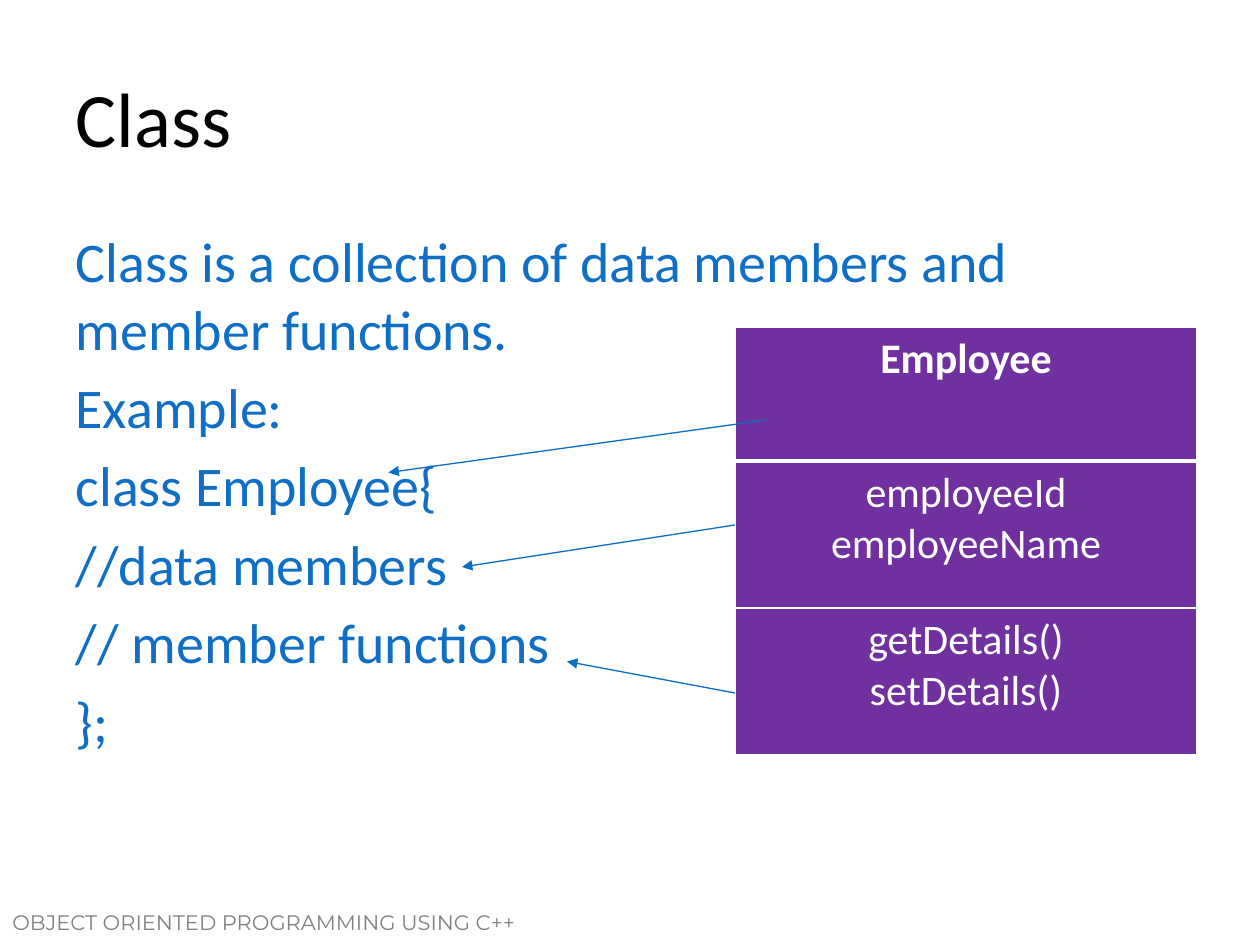
from lxml import etree
from pptx import Presentation
from pptx import util as u
from pptx.dml.color import RGBColor
from pptx.enum import shapes, text
from pptx.oxml import ns

BLACK = RGBColor(0x00, 0x00, 0x00)
WHITE = RGBColor(0xFF, 0xFF, 0xFF)
GREY = RGBColor(0x80, 0x80, 0x80)
BLUE = RGBColor(0x0F, 0x6F, 0xC6)
ARROW_BLUE = RGBColor(0x0A, 0x6D, 0xC6)
PURPLE = RGBColor(0x70, 0x30, 0xA0)


class ClassSlide:
    """Draw elements on one slide, on a grid of 120 columns by 90 rows."""

    font = "Calibri"

    def __init__(self, deck):
        self.slide = deck.slides.add_slide(deck.slide_layouts[1])
        self.column = deck.slide_width / 120
        self.row = deck.slide_height / 90

    def place(self, left, top, width, height):
        return (u.Emu(round(left * self.column)), u.Emu(round(top * self.row)),
                u.Emu(round(width * self.column)), u.Emu(round(height * self.row)))

    def add_lines(self, frame, lines, size, color, align=text.PP_ALIGN.LEFT,
                  bold=False, font=None):
        frame.word_wrap = True
        for index, line in enumerate(lines):
            paragraph = frame.add_paragraph() if index else frame.paragraphs[0]
            paragraph.alignment = align
            run = paragraph.add_run()
            run.text = line
            run.font.name = font or self.font
            run.font.size = u.Pt(size)
            run.font.bold = bold
            run.font.color.rgb = color

    def placeholder(self, index, box, lines, size, color, anchor):
        holder = self.slide.placeholders[index]
        holder.left, holder.top, holder.width, holder.height = self.place(*box)
        frame = holder.text_frame
        frame.auto_size = text.MSO_AUTO_SIZE.NONE
        frame.vertical_anchor = anchor
        self.add_lines(frame, lines, size, color)
        return frame

    def title(self, box, heading):
        self.placeholder(0, box, [heading], 44, BLACK, text.MSO_ANCHOR.MIDDLE)

    def body(self, box, lines):
        frame = self.placeholder(1, box, lines, 32, BLUE, text.MSO_ANCHOR.TOP)
        for paragraph in frame.paragraphs:
            properties = paragraph._p.get_or_add_pPr()
            properties.set("marL", "0")
            properties.set("indent", "0")
            etree.SubElement(properties, ns.qn("a:buNone"))

    def footer(self, box, label):
        frame = self.slide.shapes.add_textbox(*self.place(*box)).text_frame
        self.add_lines(frame, [label], 12, GREY, font="Montserrat")

    def border(self, cell, sides):
        properties = cell._tc.get_or_add_tcPr()
        for position, (side, points) in enumerate(sides.items()):
            line = etree.Element(ns.qn(f"a:ln{side}"), w=str(int(u.Pt(points))))
            fill = etree.SubElement(line, ns.qn("a:solidFill"))
            etree.SubElement(fill, ns.qn("a:srgbClr"), val=str(WHITE))
            properties.insert(position, line)

    def class_table(self, left, top, width, heights, compartments):
        box = self.place(left, top, width, sum(heights))
        table = self.slide.shapes.add_table(len(heights), 1, *box).table
        for index, (height, lines) in enumerate(zip(heights, compartments)):
            table.rows[index].height = u.Emu(round(height * self.row))
            cell = table.cell(index, 0)
            cell.fill.solid()
            cell.fill.fore_color.rgb = PURPLE
            self.add_lines(cell.text_frame, lines, 24, WHITE,
                           text.PP_ALIGN.CENTER, bold=index == 0)
            self.border(cell, {"L": 1, "R": 1, "T": 3 if index == 1 else 1,
                               "B": 3 if index == 0 else 1})

    def arrow(self, start, end):
        ends = self.place(*start, *end)
        link = self.slide.shapes.add_connector(shapes.MSO_CONNECTOR.STRAIGHT, *ends)
        link.line.color.rgb = ARROW_BLUE
        link.line.width = u.Pt(0.75)
        outline = link._element.spPr.find(ns.qn("a:ln"))
        etree.SubElement(outline, ns.qn("a:tailEnd"), type="triangle")
        etree.SubElement(link._element.spPr, ns.qn("a:effectLst"))


deck = Presentation()
deck.slide_width, deck.slide_height = u.Inches(10), u.Inches(7.5)
lesson = ClassSlide(deck)
lesson.footer((0, 86, 60, 5), "OBJECT ORIENTED PROGRAMMING USING C++")
lesson.title((6, 3.6, 108, 15), "Class")
lesson.body((6, 21, 108, 59.4), [
    "Class is a collection of data members and member functions.",
    "Example:",
    "class Employee{",
    "//data members",
    "// member functions",
    "};",
])
lesson.class_table(70, 31.2, 44, (12.7, 14, 14), (
    ["Employee"],
    ["employeeId", "employeeName"],
    ["getDetails()", "setDetails()"],
))
for start, end in (((73, 40), (37, 45)), ((70, 50), (44, 54)), ((70, 66), (54, 63))):
    lesson.arrow(start, end)
deck.save("out.pptx")
